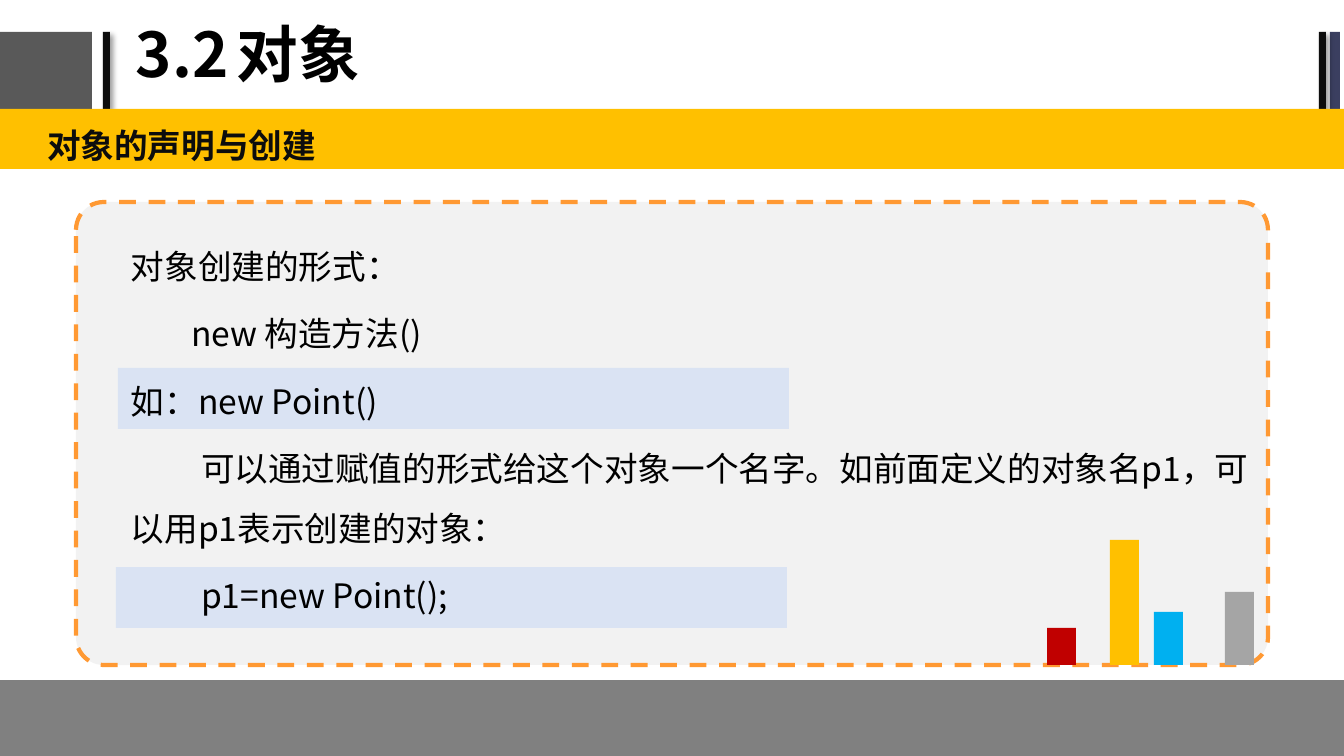
from dataclasses import dataclass

from lxml.etree import SubElement
from pptx import Presentation
from pptx.dml.color import RGBColor
from pptx.enum.dml import MSO_LINE
from pptx.enum.shapes import MSO_SHAPE
from pptx.enum.text import MSO_ANCHOR
from pptx.oxml.ns import qn
from pptx.util import Pt

EMU_PER_PX = 914400 / 100.8


def px(length):
    return round(length * EMU_PER_PX)


@dataclass(frozen=True)
class Theme:
    font: str = "Noto Sans CJK SC"
    title_size: int = 44
    body_size: int = 24
    black: str = "000000"
    ink: str = "0D0D0D"
    charcoal: str = "595959"
    navy: str = "3B3F60"
    footer: str = "808080"
    amber: str = "FFC000"
    panel: str = "F2F2F2"
    dash: str = "FF9933"
    highlight: str = "DAE3F3"
    silver: str = "A5A5A5"
    blue: str = "00B0F0"
    red: str = "C00000"


def write_paragraph(paragraph, text, *, theme, size, color, bold=False,
                    line_spacing=1.0, space_before=0, indent=0, tab=0):
    paragraph.line_spacing = line_spacing
    paragraph.space_before = Pt(space_before)
    properties = paragraph._p.get_or_add_pPr()
    properties.set("marL", "0")
    properties.set("indent", str(px(indent)))
    if tab:
        tabs = SubElement(properties, qn("a:tabLst"))
        SubElement(tabs, qn("a:tab"), pos=str(px(tab)), algn="l")
    run = paragraph.add_run()
    run.text = text
    run.font.name = theme.font
    run.font.size = Pt(size)
    run.font.bold = bold
    run.font.color.rgb = RGBColor.from_string(color)
    SubElement(run._r.get_or_add_rPr(), qn("a:ea"), typeface=theme.font)


class SlideBuilder:
    def __init__(self, slide, theme):
        self.slide = slide
        self.theme = theme

    def block(self, left, top, width, height, fill, kind=MSO_SHAPE.RECTANGLE):
        shape = self.slide.shapes.add_shape(
            kind, px(left), px(top), px(width), px(height))
        shape.shadow.inherit = False
        shape.fill.solid()
        shape.fill.fore_color.rgb = RGBColor.from_string(fill)
        shape.line.fill.background()
        return shape

    def shadowed_block(self, left, top, width, height, fill):
        shape = self.block(left, top, width, height, fill)
        effects = shape._element.spPr.find(qn("a:effectLst"))
        shadow = SubElement(effects, qn("a:outerShdw"), blurRad=str(Pt(4)),
                            dist=str(Pt(3)), dir=str(45 * 60000))
        color = SubElement(shadow, qn("a:srgbClr"), val=self.theme.black)
        SubElement(color, qn("a:alpha"), val="40000")

    def dashed_panel(self, left, top, width, height):
        shape = self.block(left, top, width, height, self.theme.panel,
                           MSO_SHAPE.ROUNDED_RECTANGLE)
        shape.adjustments[0] = 0.06
        shape.line.color.rgb = RGBColor.from_string(self.theme.dash)
        shape.line.width = Pt(3)
        shape.line.dash_style = MSO_LINE.DASH

    def text_box(self, left, top, width, height, lines, *, insets=(13, 7),
                 anchor=MSO_ANCHOR.TOP, space_between=0, **text_format):
        box = self.slide.shapes.add_textbox(
            px(left), px(top), px(width), px(height))
        frame = box.text_frame
        frame.word_wrap = True
        frame.vertical_anchor = anchor
        frame.margin_left = frame.margin_right = px(insets[0])
        frame.margin_top = frame.margin_bottom = px(insets[1])
        for index, (text, indent) in enumerate(lines):
            paragraph = frame.add_paragraph() if index else frame.paragraphs[0]
            write_paragraph(paragraph, text, theme=self.theme, indent=indent,
                            space_before=space_between if index else 0,
                            **text_format)


def main():
    theme = Theme()
    presentation = Presentation()
    presentation.slide_width = px(1344)
    presentation.slide_height = px(756)
    slide = presentation.slides.add_slide(presentation.slide_layouts[6])
    builder = SlideBuilder(slide, theme)

    # Title row with its side bars
    bar_top, bar_height = 32, 77
    builder.block(0, bar_top, 92, bar_height, theme.charcoal)
    builder.block(1330, bar_top, 10, bar_height, theme.navy)
    for left in (103, 1319):
        builder.shadowed_block(left, bar_top, 7, bar_height, theme.ink)
    builder.text_box(126, 2, 854, 111, [("3.2\t对象", 0)], insets=(10, 5),
                     anchor=MSO_ANCHOR.MIDDLE, size=theme.title_size,
                     color=theme.black, bold=True, line_spacing=0.9, tab=135)

    # Footer and section heading
    builder.block(0, 680, 1344, 76, theme.footer)
    builder.block(0, 109, 1344, 60, theme.amber)
    builder.text_box(34, 110, 1309, 58, [("对象的声明与创建", 0)],
                     size=theme.body_size, color=theme.ink, bold=True,
                     line_spacing=1.2)

    # Panel with highlighted code lines
    builder.dashed_panel(76, 202, 1192, 463)
    for left, top in ((116, 567), (118, 368)):
        builder.block(left, top, 671, 61, theme.highlight)
    body_lines = [
        ("对象创建的形式：", 0),
        ("new 构造方法()", 60),
        ("如：new Point()", 0),
        ("可以通过赋值的形式给这个对象一个名字。如前面定义的对象名p1，"
         "可以用p1表示创建的对象：", 70),
        ("p1=new Point();", 70),
    ]
    builder.text_box(118, 219, 1147, 429, body_lines, size=theme.body_size,
                     color=theme.black, line_spacing=1.5, space_between=4.8)

    # Decorative columns standing on the panel's lower edge
    baseline = 665
    columns = [(1225, 73, theme.silver), (1154, 53, theme.blue),
               (1110, 125, theme.amber), (1047, 37, theme.red)]
    for left, height, color in columns:
        builder.block(left, baseline - height, 29, height, color)

    presentation.save("out.pptx")


if __name__ == "__main__":
    main()
